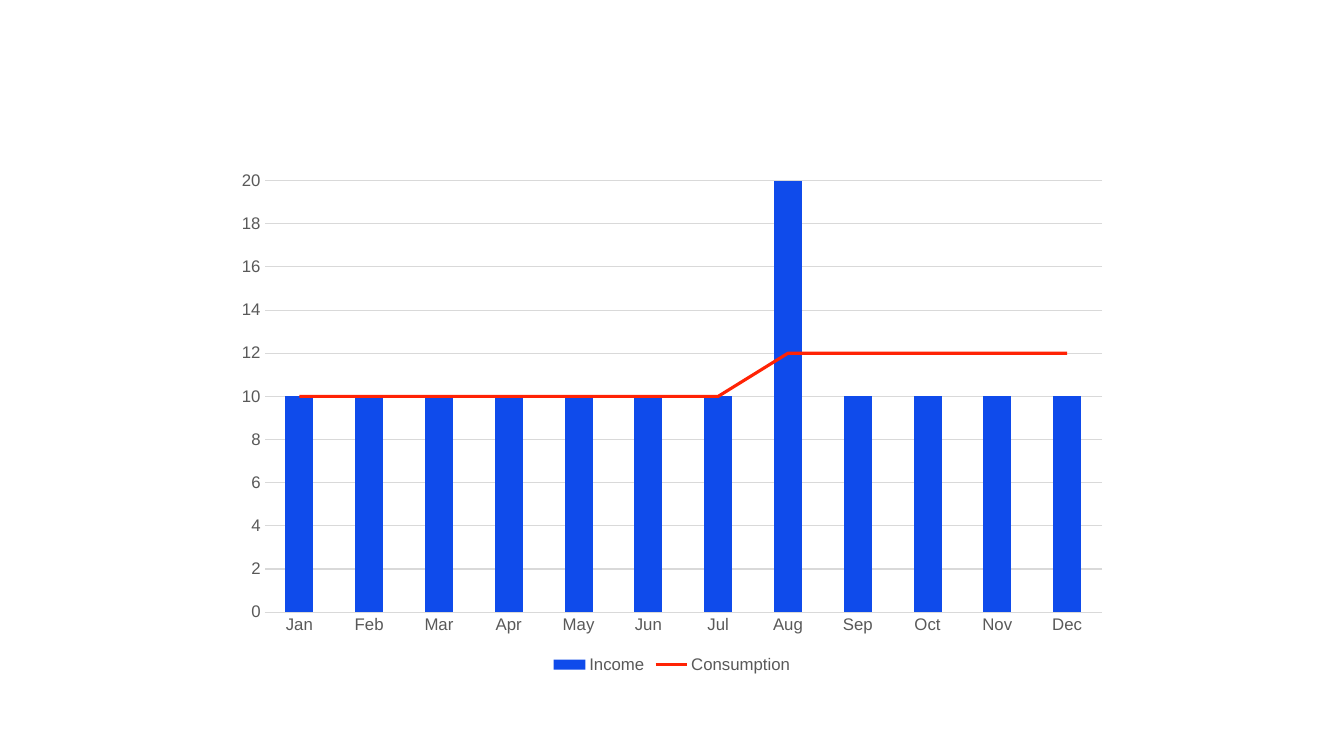
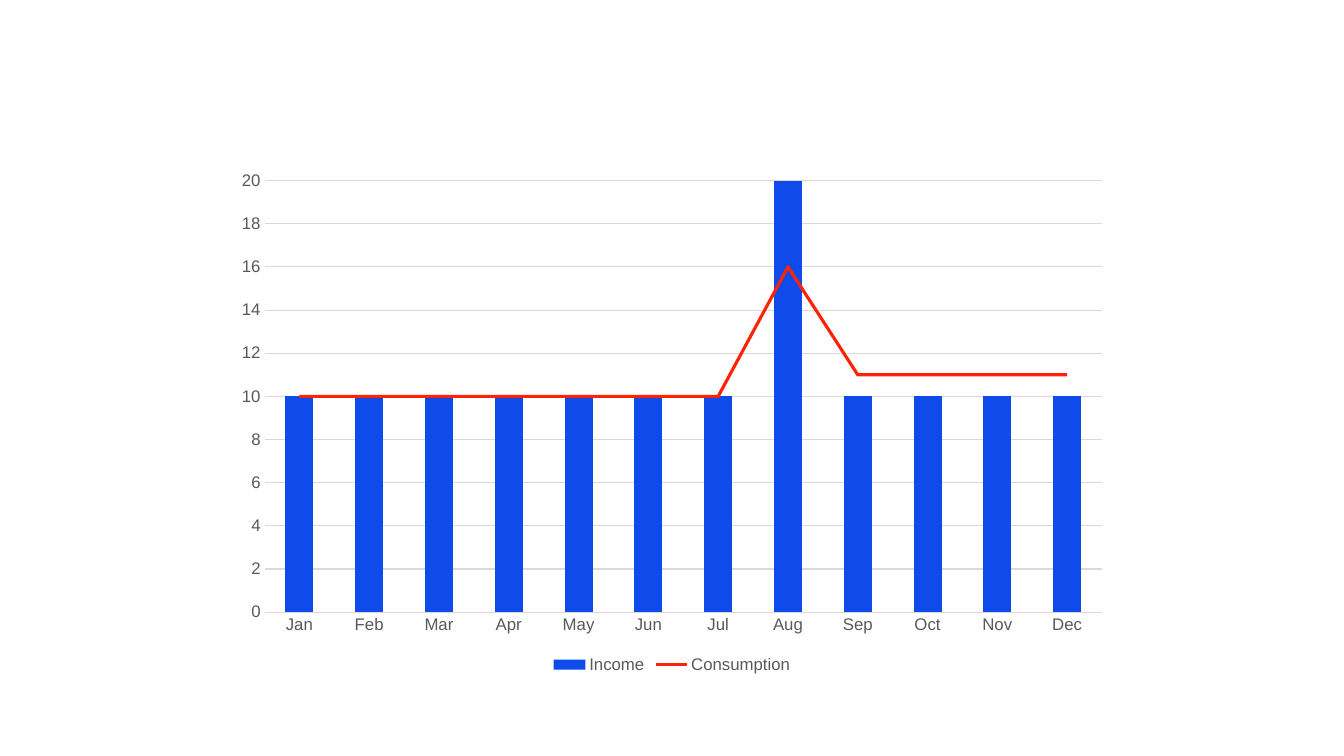
from dataclasses import dataclass

from pptx import Presentation
from pptx.chart.data import CategoryChartData
from pptx.dml.color import RGBColor
from pptx.enum.chart import XL_CHART_TYPE, XL_LEGEND_POSITION, XL_MARKER_STYLE, XL_TICK_MARK
from pptx.oxml import parse_xml
from pptx.oxml.ns import nsdecls, qn
from pptx.util import Pt


@dataclass(frozen=True)
class Theme:
    font: str = "Arial"
    label_size: Pt = Pt(12)
    label_color: RGBColor = RGBColor(0x59, 0x59, 0x59)
    grid_color: RGBColor = RGBColor(0xD9, 0xD9, 0xD9)
    income_color: RGBColor = RGBColor(0x0F, 0x4B, 0xEB)
    consumption_color: RGBColor = RGBColor(0xFF, 0x23, 0x05)
    grid_width: Pt = Pt(0.75)
    consumption_width: Pt = Pt(2.25)


THEME = Theme()
MONTHS = ["Jan", "Feb", "Mar", "Apr", "May", "Jun", "Jul", "Aug", "Sep", "Oct", "Nov", "Dec"]
INCOME = [10] * 7 + [20] + [10] * 4
CONSUMPTION_BY_SLIDE = [
    [10] * 7 + [12] * 5,
    [10] * 7 + [16] + [11] * 4,
]


def move_last_series_to_line(chart):
    """Turn the last column series into a line on the same axes."""
    bar_chart = chart.element.find(".//" + qn("c:barChart"))
    series = bar_chart.findall(qn("c:ser"))[-1]
    for column_setting in series.findall(qn("c:invertIfNegative")):
        series.remove(column_setting)
    line_chart = parse_xml(
        f'<c:lineChart {nsdecls("c")}><c:grouping val="standard"/>'
        '<c:varyColors val="0"/><c:marker val="1"/></c:lineChart>'
    )
    line_chart.insert(2, series)
    for axis_id in bar_chart.findall(qn("c:axId")):
        line_chart.append(parse_xml(f'<c:axId {nsdecls("c")} val="{axis_id.get("val")}"/>'))
    bar_chart.addnext(line_chart)


def style_line(line, color, width):
    line.color.rgb = color
    line.width = width


presentation = Presentation()
presentation.slide_width = Pt(960)
presentation.slide_height = Pt(540)
blank_layout = presentation.slide_layouts[6]

for consumption in CONSUMPTION_BY_SLIDE:
    slide = presentation.slides.add_slide(blank_layout)
    chart_data = CategoryChartData()
    chart_data.categories = MONTHS
    chart_data.add_series("Income", INCOME)
    chart_data.add_series("Consumption", consumption)
    chart = slide.shapes.add_chart(
        XL_CHART_TYPE.COLUMN_CLUSTERED, Pt(160), Pt(115.2), Pt(640), Pt(368.8), chart_data
    ).chart
    move_last_series_to_line(chart)

    chart.has_title = False
    chart.font.name = THEME.font
    chart.font.size = THEME.label_size
    chart.font.color.rgb = THEME.label_color
    chart.has_legend = True
    chart.legend.position = XL_LEGEND_POSITION.BOTTOM
    chart.legend.include_in_layout = False

    column_plot, line_plot = chart.plots
    column_plot.vary_by_categories = False
    column_plot.gap_width = 150
    income_fill = column_plot.series[0].format.fill
    income_fill.solid()
    income_fill.fore_color.rgb = THEME.income_color

    consumption_series = line_plot.series[0]
    consumption_series.smooth = False
    consumption_series.marker.style = XL_MARKER_STYLE.NONE
    style_line(consumption_series.format.line, THEME.consumption_color, THEME.consumption_width)

    for axis in (chart.category_axis, chart.value_axis):
        axis.major_tick_mark = XL_TICK_MARK.NONE
        axis.minor_tick_mark = XL_TICK_MARK.NONE
    style_line(chart.category_axis.format.line, THEME.grid_color, THEME.grid_width)

    value_axis = chart.value_axis
    value_axis.minimum_scale = 0
    value_axis.maximum_scale = 20
    value_axis.major_unit = 2
    value_axis.format.line.fill.background()
    value_axis.has_major_gridlines = True
    style_line(value_axis.major_gridlines.format.line, THEME.grid_color, THEME.grid_width)

presentation.save("out.pptx")
